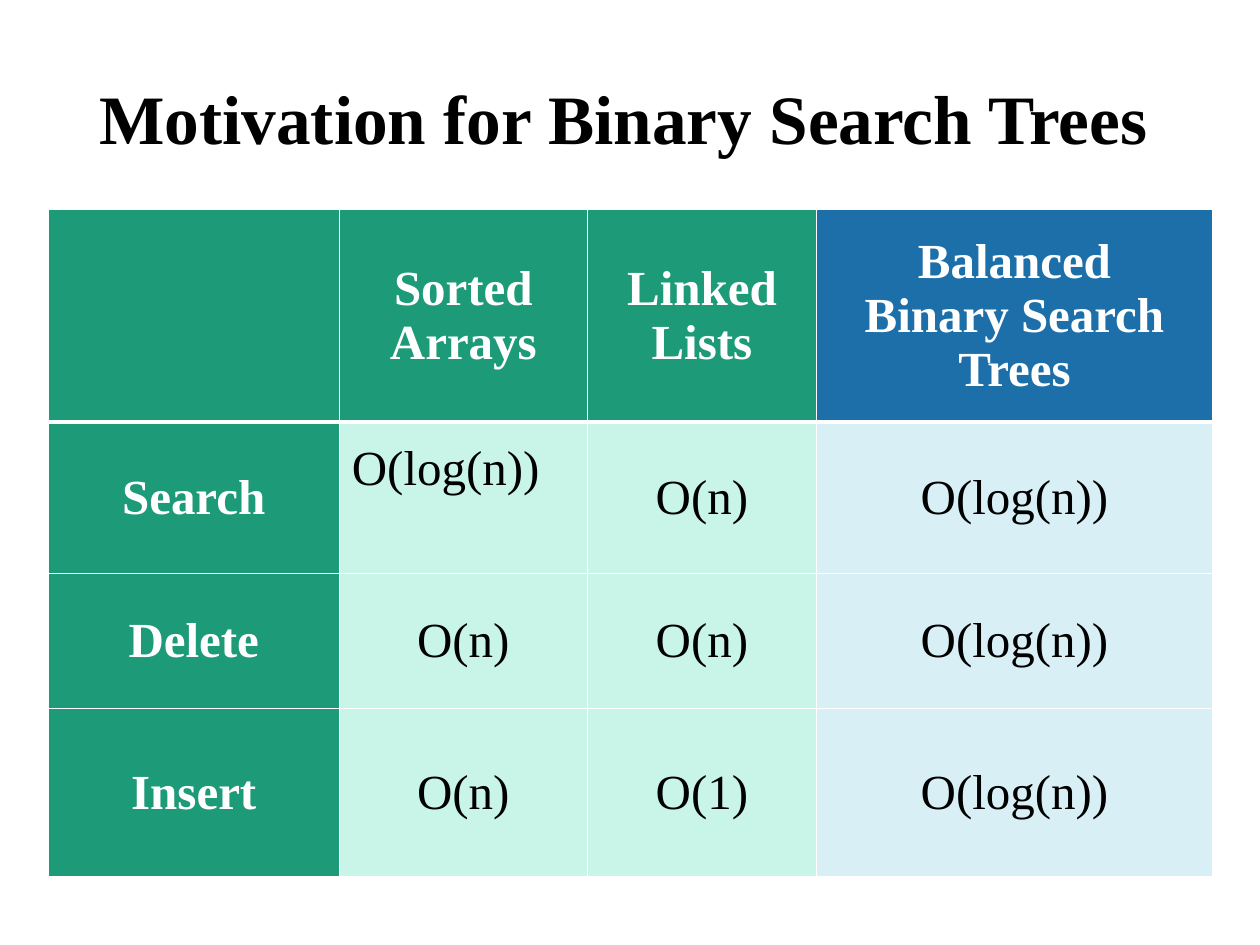
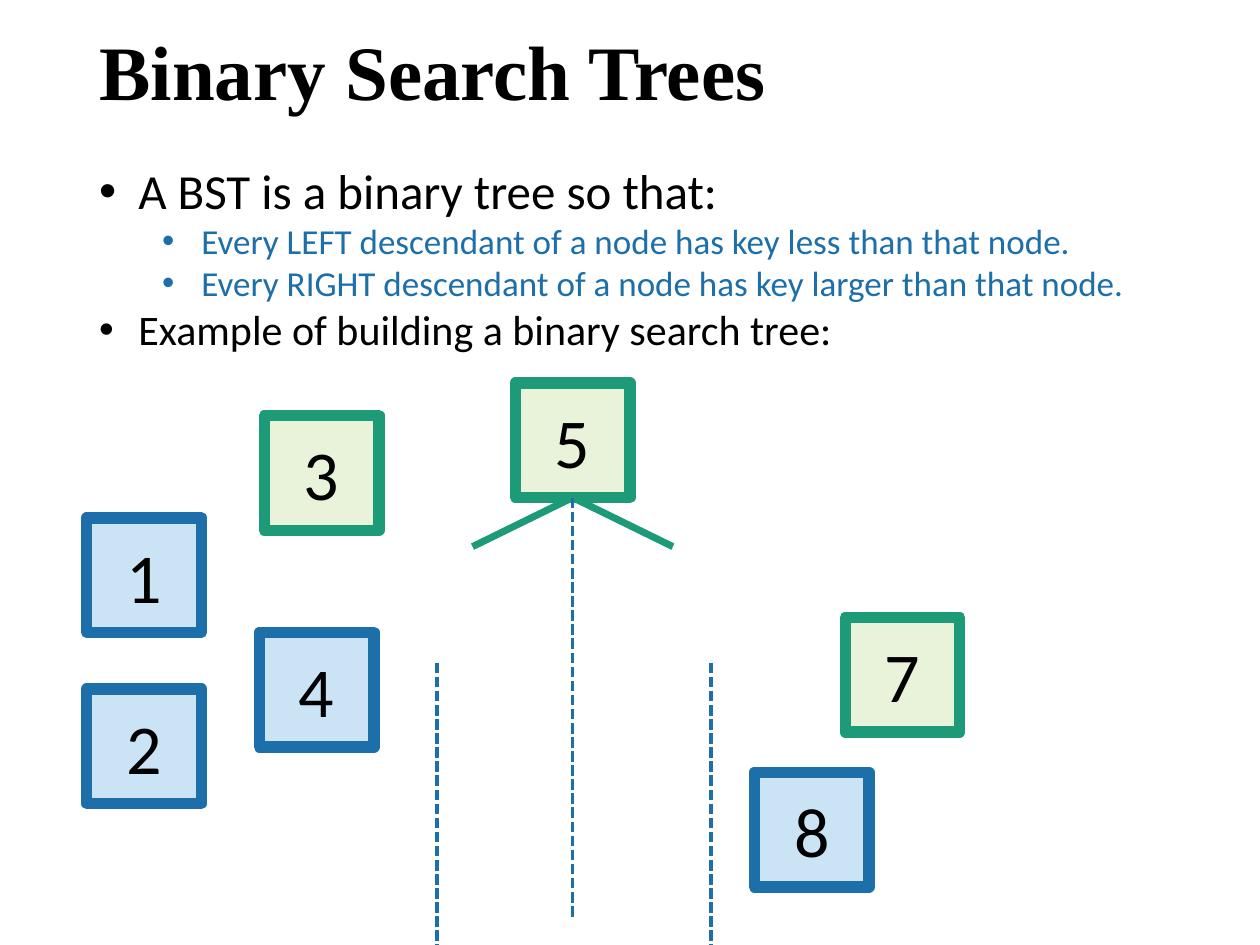
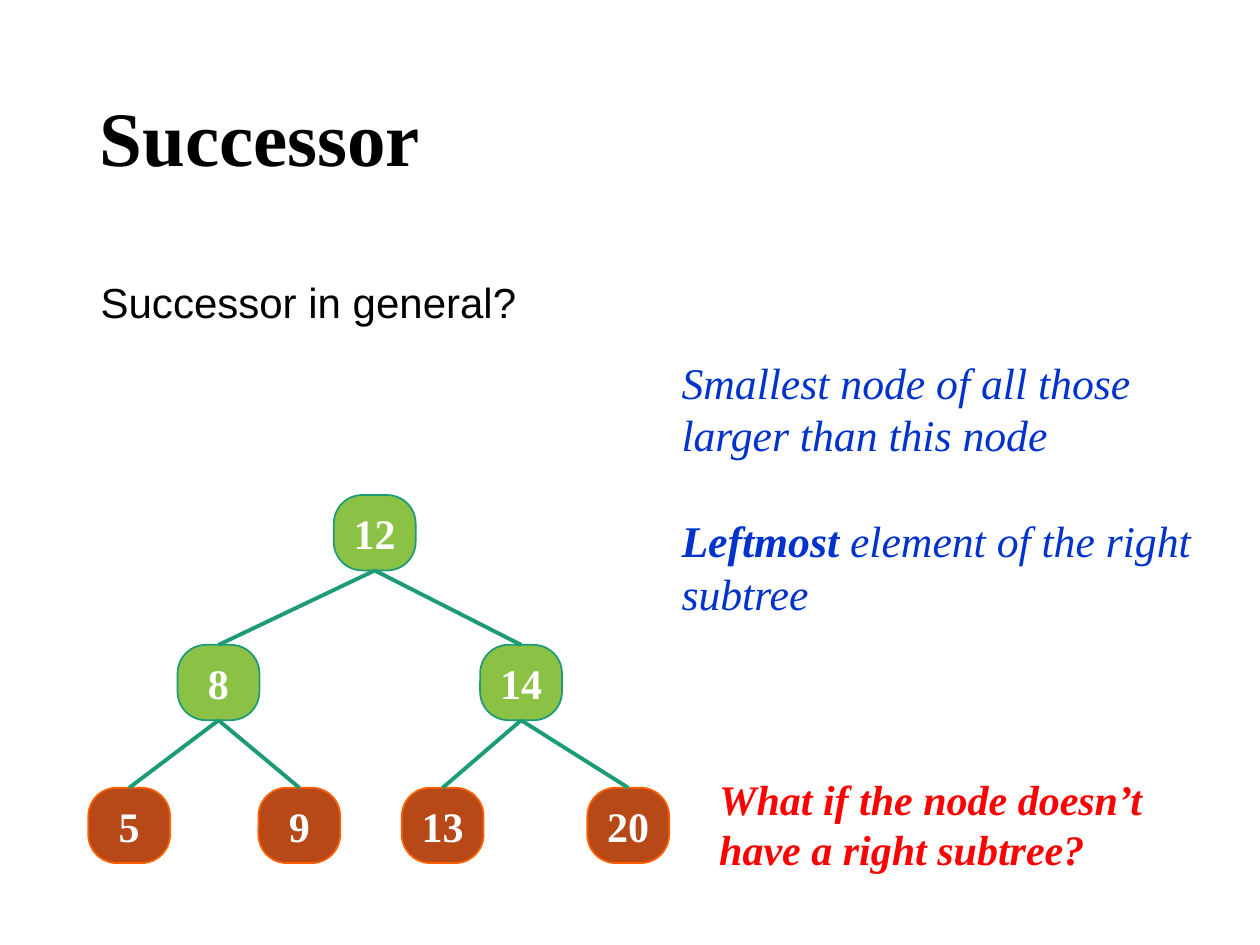
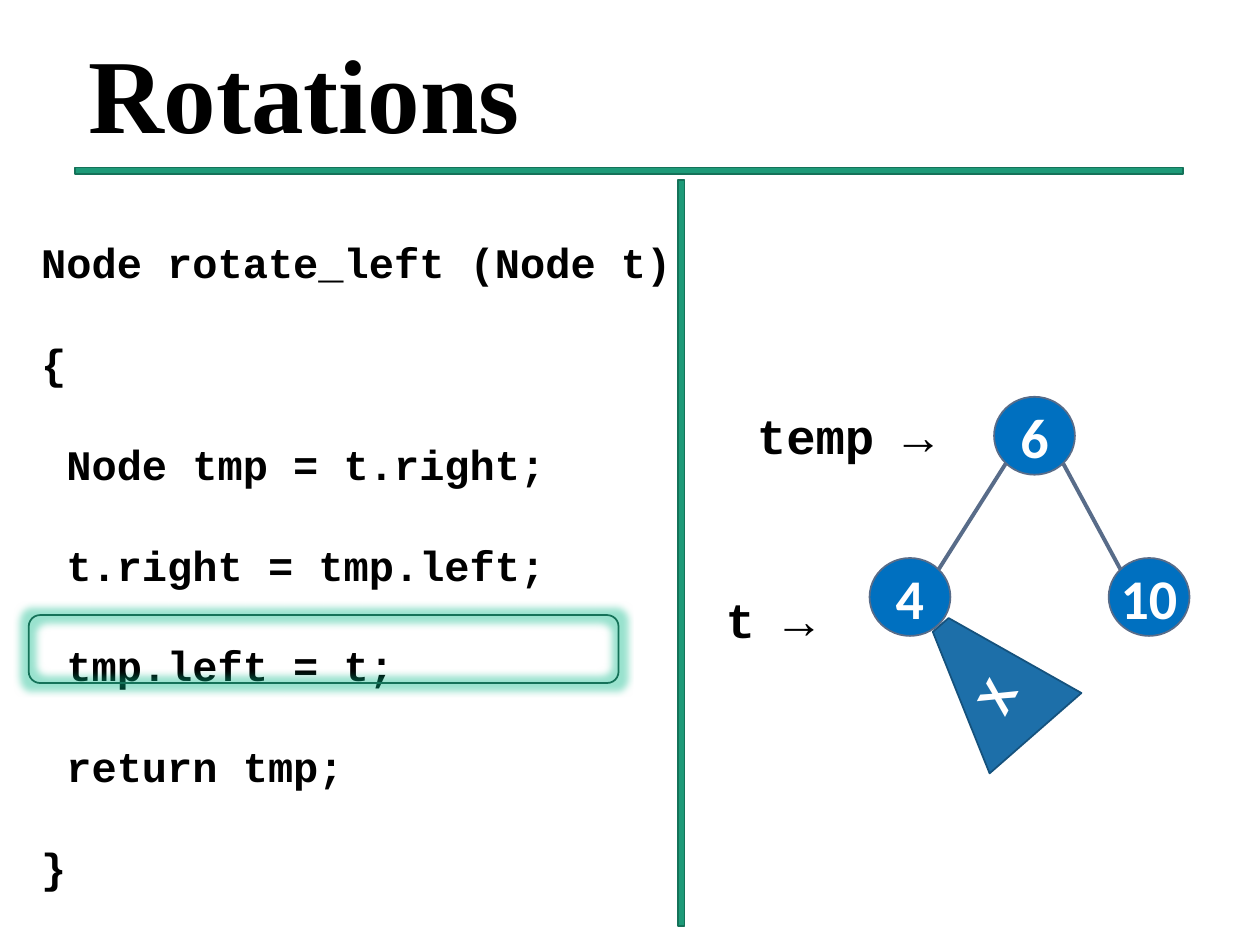
import collections
import math

import lxml.etree
import pptx
import pptx.dml.color
import pptx.enum.dml
import pptx.enum.shapes
import pptx.enum.text
import pptx.oxml.ns
import pptx.util

Cm = pptx.util.Cm
Pt = pptx.util.Pt
PRESET = pptx.enum.shapes.MSO_SHAPE
ALIGN = pptx.enum.text.PP_ALIGN
ANCHOR = pptx.enum.text.MSO_ANCHOR
AUTO_SIZE = pptx.enum.text.MSO_AUTO_SIZE

COLORS = {
    "black": "000000", "white": "FFFFFF",
    "green": "1D9A78", "dark_green": "157259", "glow": "00B786",
    "blue": "1D6FA9", "dark_blue": "15527D",
    "mint": "C8F5E8", "ice": "D7EFF5",
    "pale_blue": "CAE4F6", "pale_green": "E8F3DA",
    "lime": "8BC145", "rust": "B74919", "orange": "FF6100",
    "note_blue": "0033CC", "red": "FF0000",
    "node_blue": "0070C0", "slate": "586C89",
}
SERIF = "Times New Roman"
SANS = "Calibri"
MONO = "Courier New"

Box = collections.namedtuple("Box", "left top width height")
Style = collections.namedtuple("Style", "font size color bold italic", defaults=("black", False, False))
Look = collections.namedtuple("Look", "preset fill line line_width style")


def rgb(name):
    return pptx.dml.color.RGBColor.from_string(COLORS[name])


def lengths(box):
    return [Cm(value) for value in box]


def within(box, left, top, width, height):
    return Box(box.left + left, box.top + top, width, height)


def add_xml(parent, tag, **attributes):
    element = lxml.etree.SubElement(parent, pptx.oxml.ns.qn(tag))
    for name, value in attributes.items():
        element.set(name, str(value))
    return element


def style_run(run, style):
    run.font.name = style.font
    run.font.size = Pt(style.size)
    run.font.bold = style.bold
    run.font.italic = style.italic
    run.font.color.rgb = rgb(style.color)


def style_paragraph(paragraph, style, alignment=ALIGN.LEFT, line_spacing=None):
    paragraph.alignment = alignment
    if line_spacing:
        paragraph.line_spacing = line_spacing
    for run in paragraph.runs:
        style_run(run, style)


def add_titled_slide(presentation, text, box, size):
    slide = presentation.slides.add_slide(presentation.slide_layouts[5])
    title = slide.shapes.title
    title.left, title.top, title.width, title.height = lengths(box)
    text_frame = title.text_frame
    text_frame.text = text
    text_frame.word_wrap = True
    text_frame.auto_size = AUTO_SIZE.NONE
    text_frame.vertical_anchor = ANCHOR.MIDDLE
    style_paragraph(text_frame.paragraphs[0], Style(SERIF, size, bold=True), line_spacing=0.9)
    return slide


def add_text(shapes, box, text, style, line_spacing=None):
    text_box = shapes.add_textbox(*lengths(box))
    text_frame = text_box.text_frame
    text_frame.word_wrap = True
    text_frame.auto_size = AUTO_SIZE.SHAPE_TO_FIT_TEXT
    text_frame.text = text
    for paragraph in text_frame.paragraphs:
        style_paragraph(paragraph, style, line_spacing=line_spacing)
    return text_box


def add_shape(shapes, preset, box, fill, line, line_width=1):
    shape = shapes.add_shape(preset, *lengths(box))
    shape.shadow.inherit = False
    if fill:
        shape.fill.solid()
        shape.fill.fore_color.rgb = rgb(fill)
    else:
        shape.fill.background()
    shape.line.color.rgb = rgb(line)
    shape.line.width = Pt(line_width)
    return shape


def add_node(slide, box, label, look):
    node = add_shape(slide.shapes, look.preset, box, look.fill, look.line, look.line_width)
    if look.preset == PRESET.ROUNDED_RECTANGLE:
        node.adjustments[0] = 0.378
    text_frame = node.text_frame
    text_frame.margin_left = text_frame.margin_right = 0
    text_frame.margin_top = text_frame.margin_bottom = 0
    text_frame.vertical_anchor = ANCHOR.MIDDLE
    text_frame.text = label
    style_paragraph(text_frame.paragraphs[0], look.style, ALIGN.CENTER)
    return node


def add_line(slide, start, end, color, width, dashed=False):
    connector = slide.shapes.add_connector(
        pptx.enum.shapes.MSO_CONNECTOR.STRAIGHT, *lengths(start + end))
    connector.line.color.rgb = rgb(color)
    connector.line.width = Pt(width)
    if dashed:
        connector.line.dash_style = pptx.enum.dml.MSO_LINE.SQUARE_DOT
    add_xml(connector._element.spPr, "a:effectLst")
    return connector


def add_cell_borders(cell, widths):
    properties = cell._tc.get_or_add_tcPr()
    for side, width in zip("LRTB", widths):
        border = add_xml(properties, f"a:ln{side}", w=Pt(width))
        add_xml(add_xml(border, "a:solidFill"), "a:srgbClr", val=COLORS["white"])


def draw_cost_table(slide, box):
    rows = [
        ["", "Sorted Arrays", "Linked Lists", "Balanced\vBinary Search Trees"],
        ["Search", "O(log(n))", "O(n)", "O(log(n))"],
        ["Delete", "O(n)", "O(n)", "O(log(n))"],
        ["Insert", "O(n)", "O(1)", "O(log(n))"],
    ]
    table = slide.shapes.add_table(4, 4, *lengths(box)).table
    for column, width in zip(table.columns, [5.87, 5.0, 4.62, 7.98]):
        column.width = Cm(width)
    for row, height in zip(table.rows, [4.29, 3.05, 2.72, 3.4]):
        row.height = Cm(height)
    for row_index, texts in enumerate(rows):
        for column_index, text in enumerate(texts):
            cell = table.cell(row_index, column_index)
            is_heading = row_index == 0 or column_index == 0
            is_tree = column_index == 3
            add_cell_borders(cell, [1, 1, 3 if row_index == 1 else 1, 3 if row_index == 0 else 1])
            cell.fill.solid()
            heading_fill, value_fill = ("blue", "ice") if is_tree else ("green", "mint")
            cell.fill.fore_color.rgb = rgb(heading_fill if is_heading else value_fill)
            cell.vertical_anchor = ANCHOR.MIDDLE
            paragraph = cell.text_frame.paragraphs[0]
            paragraph.text = text
            color = "white" if is_heading else "black"
            style_paragraph(paragraph, Style(SERIF, 28, color, is_heading), ALIGN.CENTER)
    sorted_search = table.cell(1, 1)
    sorted_search.vertical_anchor = ANCHOR.TOP
    sorted_search.margin_top = Cm(0.4)
    sorted_search.text_frame.paragraphs[0].alignment = ALIGN.LEFT


def draw_definition(slide, box):
    items = [
        ("A BST is a binary tree so that:", 0, 28),
        ("Every LEFT descendant of a node has key less than that node.", 1, 20),
        ("Every RIGHT descendant of a node has key larger than that node.", 1, 20),
        ("Example of building a binary search tree:", 0, 24),
    ]
    text = "\n".join(item[0] for item in items)
    text_box = add_text(slide.shapes, box, text, Style(SANS, 28))
    for paragraph, (_, level, size) in zip(text_box.text_frame.paragraphs, items):
        paragraph.level = level
        properties = paragraph._p.get_or_add_pPr()
        properties.set("marL", str(Cm(0.79 + 1.27 * level)))
        properties.set("indent", str(Cm(-0.79)))
        add_xml(properties, "a:buFont", typeface="Arial")
        add_xml(properties, "a:buChar", char="•")
        style_paragraph(paragraph, Style(SANS, size, "blue" if level else "black"))


def draw_building_example(slide, box):
    side = 2.31
    style = Style(SANS, 40)
    blue = Look(PRESET.RECTANGLE, "pale_blue", "blue", 6.5, style)
    green = Look(PRESET.RECTANGLE, "pale_green", "green", 6.5, style)
    squares = [
        ("4", 3.48, 5.03, blue), ("2", 0, 6.17, blue), ("8", 13.46, 7.85, blue),
        ("7", 15.29, 4.73, green), ("1", 0, 2.72, blue), ("3", 3.58, 0.66, green),
        ("5", 8.64, 0, green),
    ]
    for label, left, top, look in squares:
        add_node(slide, within(box, left, top, side, side), label, look)
    root = (box.left + 8.64 + side / 2, box.top + side)
    for offset in (2.02, -2.02):
        add_line(slide, root, (root[0] + offset, root[1] + 0.99), "green", 4)
    dividers = [(9.79, side, 10.77), (7.06, 5.64, 11.33), (12.58, 5.64, 11.33)]
    for left, top, bottom in dividers:
        add_line(slide, (box.left + left, box.top + top),
                 (box.left + left, box.top + bottom), "blue", 2, dashed=True)


def draw_successor_tree(slide, box):
    style = Style(SERIF, 24, "white", True)
    inner = Look(PRESET.ROUNDED_RECTANGLE, "lime", "green", 1, style)
    leaf = Look(PRESET.ROUNDED_RECTANGLE, "rust", "orange", 1, style)
    positions = {
        "12": (4.95, 0, inner), "8": (1.8, 3.02, inner), "14": (7.9, 3.02, inner),
        "5": (0, 5.9, leaf), "9": (3.43, 5.9, leaf),
        "13": (6.32, 5.9, leaf), "20": (10.06, 5.9, leaf),
    }
    nodes = {
        label: add_node(slide, within(box, left, top, 1.65, 1.52), label, look)
        for label, (left, top, look) in positions.items()
    }
    children = {"12": ("8", "14"), "8": ("5", "9"), "14": ("13", "20")}
    for parent, labels in children.items():
        for label in labels:
            edge = add_line(slide, (0, 0), (1, 1), "green", 2.25)
            edge.begin_connect(nodes[parent], 2)
            edge.end_connect(nodes[label], 0)


def draw_successor_notes(slide, box):
    note = Style(SERIF, 25, "note_blue", italic=True)
    add_text(slide.shapes, within(box, 0, 0, 11.46, 2.39),
             "Smallest node of all those larger than this node", note)
    leftmost = add_text(slide.shapes, within(box, 0, 3.2, 11.46, 2.39),
                        "Leftmost", note._replace(bold=True))
    run = leftmost.text_frame.paragraphs[0].add_run()
    run.text = " element of the right subtree"
    style_run(run, note)
    add_text(slide.shapes, within(box, 0.76, 8.43, 10.82, 2.31),
             "What if the node doesn’t have a right subtree?",
             Style(SERIF, 24, "red", True, True))


def draw_code(slide, box):
    code = """Node rotate_left (Node t)
{
 Node tmp = t.right;
 t.right = tmp.left;
 tmp.left = t;
 return tmp;
}"""
    add_text(slide.shapes, box, code, Style(MONO, 24, bold=True), line_spacing=2.0)
    highlight = add_shape(slide.shapes, PRESET.ROUNDED_RECTANGLE,
                          within(box, 0, 8.77, 11.89, 1.37), None, "dark_green")
    effects = highlight._element.spPr.find(pptx.oxml.ns.qn("a:effectLst"))
    glow = add_xml(effects, "a:glow", rad=Pt(8))
    add_xml(add_xml(glow, "a:srgbClr", val=COLORS["glow"]), "a:alpha", val=40000)


def draw_rotated_tree(slide, box):
    width, height = 1.63, 1.57
    look = Look(PRESET.OVAL, "node_blue", "slate", 1, Style(SANS, 32, "white", True))
    root = (5.66, 0)
    positions = {"4": (3.15, 3.25), "6": root, "10": (7.97, 3.25)}
    for label, (left, top) in positions.items():
        add_node(slide, within(box, left, top, width, height), label, look)

    def rim_point(position, horizontal, vertical):
        reach = math.sqrt(0.5)
        return (box.left + position[0] + width / 2 * (1 + horizontal * reach),
                box.top + position[1] + height / 2 * (1 + vertical * reach))

    for label, direction in (("4", -1), ("10", 1)):
        add_line(slide, rim_point(root, direction, 1),
                 rim_point(positions[label], -direction, -1), "slate", 2.25)

    pointer = Style(MONO, 28, bold=True)
    add_text(slide.shapes, within(box, 0, 3.76, 3.61, 1.45), "t →", pointer)
    add_text(slide.shapes, within(box, 0.63, 0.05, 5.08, 1.45), "temp →", pointer)

    subtree = slide.shapes.add_group_shape().shapes
    trapezoid = add_shape(subtree, PRESET.TRAPEZOID, within(box, 4.31, 4.24, 2.46, 2.9),
                          "blue", "dark_blue")
    trapezoid.adjustments[0] = 0.414
    trapezoid.rotation = 318.8
    letter = add_text(subtree, within(box, 5, 5.08, 1.57, 1.45), "X",
                      pointer._replace(color="white"))
    letter.rotation = 297.5


def build_motivation(presentation):
    slide = add_titled_slide(presentation, "Motivation for Binary Search Trees",
                             Box(1.75, 1.02, 22.71, 2.9), 39.6)
    draw_cost_table(slide, Box(0.97, 4.22, 23.47, 13.46))


def build_search_trees(presentation):
    slide = add_titled_slide(presentation, "Binary Search Trees", Box(1.75, 0.36, 21.9, 2.34), 44)
    draw_building_example(slide, Box(1.75, 7.72, 17.6, 11.33))
    draw_definition(slide, Box(1.75, 3.12, 26.19, 4.19))


def build_successor(presentation):
    slide = add_titled_slide(presentation, "Successor", Box(1.75, 1.02, 21.9, 3.68), 44)
    add_text(slide.shapes, Box(1.78, 5.44, 10.36, 1.27), "Successor in general?",
             Style("Arial", 24))
    draw_successor_notes(slide, Box(13.49, 7.04, 11.58, 10.74))
    draw_successor_tree(slide, Box(1.78, 9.98, 11.71, 7.42))


def build_rotations(presentation):
    slide = add_titled_slide(presentation, "Rotations", Box(1.52, 0.66, 22.43, 2.69), 60)
    for rule in (Box(1.52, 3.38, 22.33, 0.13), Box(13.67, 3.63, 0.13, 15.04)):
        add_shape(slide.shapes, PRESET.RECTANGLE, rule, "green", "dark_green")
    draw_code(slide, Box(0.58, 3.63, 13.26, 14.35))
    draw_rotated_tree(slide, Box(14.38, 8.0, 9.6, 7.14))


def main():
    presentation = pptx.Presentation()
    presentation.slide_width = Cm(25.4)
    presentation.slide_height = Cm(19.05)
    build_motivation(presentation)
    build_search_trees(presentation)
    build_successor(presentation)
    build_rotations(presentation)
    presentation.save("out.pptx")


if __name__ == "__main__":
    main()
